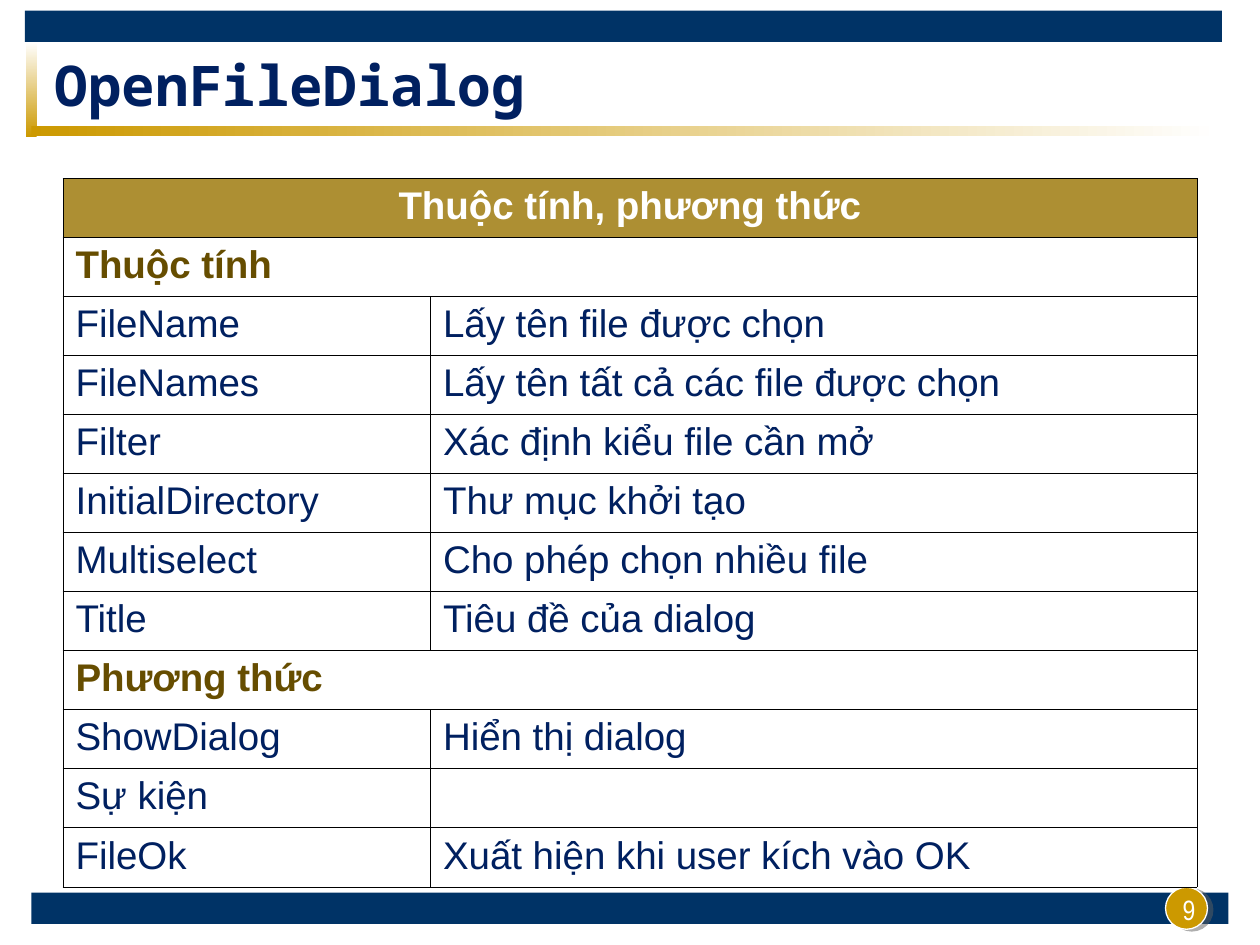
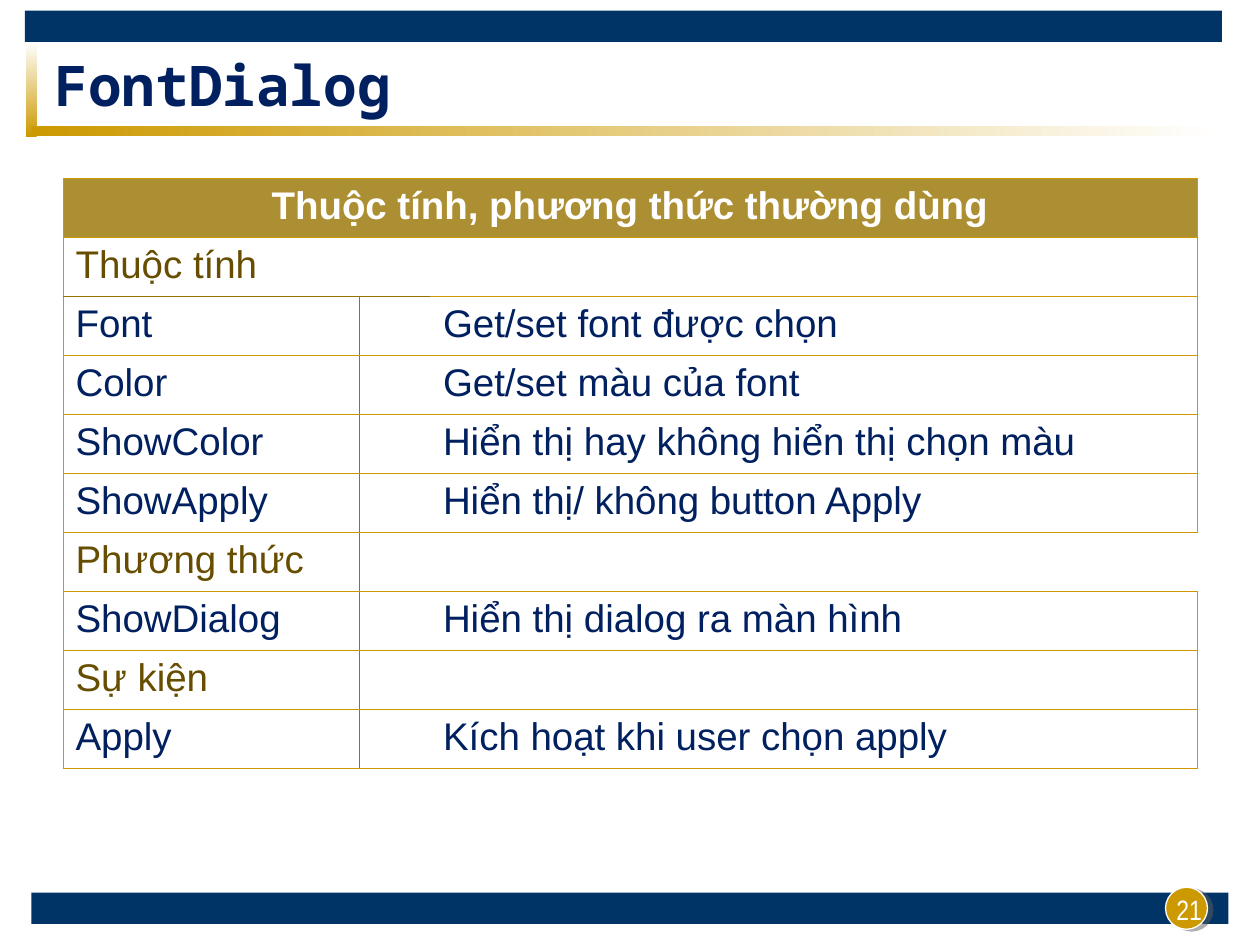
from dataclasses import dataclass
from typing import Optional

from lxml.etree import SubElement
from pptx import Presentation
from pptx.dml.color import RGBColor
from pptx.enum.shapes import MSO_SHAPE as Preset
from pptx.enum.text import MSO_ANCHOR as Anchor, MSO_AUTO_SIZE as AutoSize, PP_ALIGN as Align
from pptx.oxml.ns import qn
from pptx.util import Pt

EMU_PER_PX = 9525
SLIDE_SIZE = (960, 720)
TITLE_BOX = (32, 40, 928, 48)
NUMBER_BOX = (884, 672, 44, 38)
TABLE_LEFT, TABLE_TOP, ROW_HEIGHT = 48, 136, 45
BORDER_PT = 0.45
COLORS = {
    "band": "003366",
    "gold": "CC9900",
    "dark_gold": "997300",
    "brown": "664D00",
    "navy": "002060",
    "shadow": "5F5F5F",
    "white": "FFFFFF",
    "black": "000000",
}


@dataclass(frozen=True)
class Bar:
    box: tuple[int, int, int, int]
    colors: tuple[str, ...]
    angle: int = 0
    preset: Preset = Preset.RECTANGLE


@dataclass(frozen=True)
class Entry:
    name: str
    meaning: str = ""
    is_section: bool = False
    merge: Optional[tuple[int, int]] = None


@dataclass(frozen=True)
class Reference:
    title: str
    number: int
    heading: str
    columns: tuple[int, ...]
    entries: tuple[Entry, ...]
    border: str
    fill: Optional[str] = None
    bold_sections: bool = False
    indented: bool = False


BARS = (
    Bar((24, 680, 912, 24), ("band",)),
    Bar((19, 8, 912, 24), ("band",)),
    Bar((20, 32, 8, 72), ("white", "gold"), angle=270),
    Bar((24, 96, 904, 8), ("gold", "white")),
)
BADGE = Bar((888, 676, 32, 32), ("gold",), preset=Preset.OVAL)

REFERENCES = (
    Reference(
        "OpenFileDialog", 9, "Thuộc tính, phương thức", (280, 584),
        (
            Entry("Thuộc tính", is_section=True, merge=(0, 1)),
            Entry("FileName", "Lấy tên file được chọn"),
            Entry("FileNames", "Lấy tên tất cả các file được chọn"),
            Entry("Filter", "Xác định kiểu file cần mở"),
            Entry("InitialDirectory", "Thư mục khởi tạo"),
            Entry("Multiselect", "Cho phép chọn nhiều file"),
            Entry("Title", "Tiêu đề của dialog"),
            Entry("Phương thức", is_section=True, merge=(0, 1)),
            Entry("ShowDialog", "Hiển thị dialog"),
            Entry("Sự kiện"),
            Entry("FileOk", "Xuất hiện khi user kích vào OK"),
        ),
        border="black", bold_sections=True,
    ),
    Reference(
        "FontDialog", 21, "Thuộc tính, phương thức thường dùng", (226, 54, 584),
        (
            Entry("Thuộc tính", is_section=True, merge=(0, 2)),
            Entry("Font", "Get/set font được chọn"),
            Entry("Color", "Get/set màu của font"),
            Entry("ShowColor", "Hiển thị hay không hiển thị chọn màu"),
            Entry("ShowApply", "Hiển thị/ không button Apply"),
            Entry("Phương thức", is_section=True, merge=(1, 2)),
            Entry("ShowDialog", "Hiển thị dialog ra màn hình"),
            Entry("Sự kiện", is_section=True),
            Entry("Apply", "Kích hoạt khi user chọn apply"),
        ),
        border="gold", fill="white", indented=True,
    ),
)


def px(length: int) -> int:
    return length * EMU_PER_PX


def scaled(box: tuple[int, ...]) -> list[int]:
    return [px(length) for length in box]


def rgb(color: str) -> RGBColor:
    return RGBColor.from_string(COLORS[color])


def style(paragraph, size: float, color: str, font: str = "Arial",
          bold: bool = False, align: Align = Align.LEFT) -> None:
    paragraph.alignment = align
    paragraph.font.name = font
    paragraph.font.size = Pt(size)
    paragraph.font.bold = bold
    paragraph.font.color.rgb = rgb(color)


def add_color(parent, color: str, alpha: int):
    srgb = SubElement(parent, qn("a:srgbClr"), val=COLORS[color])
    SubElement(srgb, qn("a:alpha"), val=str(alpha * 1000))


def draw_bar(slide, bar: Bar):
    shape = slide.shapes.add_shape(bar.preset, *scaled(bar.box))
    shape.shadow.inherit = False
    shape.line.fill.background()
    if len(bar.colors) == 1:
        shape.fill.solid()
        shape.fill.fore_color.rgb = rgb(bar.colors[0])
    else:
        shape.fill.gradient()
        shape.fill.gradient_angle = bar.angle
        for stop, color in zip(shape.fill.gradient_stops, bar.colors):
            stop.color.rgb = rgb(color)
    return shape


def draw_badge(slide):
    badge = draw_bar(slide, BADGE)
    badge.line.color.rgb = rgb("white")
    badge.line.width = Pt(0.75)
    effects = badge.element.spPr.find(qn("a:effectLst"))
    shadow = SubElement(effects, qn("a:outerShdw"), blurRad="0", dist=str(Pt(3.2)),
                        dir=str(18 * 60000), algn="ctr", rotWithShape="0")
    add_color(shadow, "shadow", 50)
    return badge


def furnish_layout(layout, slide) -> None:
    furniture = [draw_bar(slide, bar) for bar in BARS] + [draw_badge(slide)]
    for shape in furniture:
        layout.element.cSld.spTree.append(shape.element)


def add_title(slide, text: str) -> None:
    title = slide.shapes.title
    title.left, title.top, title.width, title.height = scaled(TITLE_BOX)
    frame = title.text_frame
    frame.text = text
    frame.auto_size = AutoSize.NONE
    frame.vertical_anchor = Anchor.MIDDLE
    style(frame.paragraphs[0], 32, "navy", "Noto Sans Mono", bold=True)


def add_number(slide, number: int) -> None:
    frame = slide.shapes.add_textbox(*scaled(NUMBER_BOX)).text_frame
    frame.word_wrap = True
    frame.vertical_anchor = Anchor.BOTTOM
    frame.text = str(number)
    style(frame.paragraphs[0], 16, "white", "Arial Narrow", align=Align.CENTER)


def border_colors(reference: Reference, row: int, column: int) -> dict[str, Optional[str]]:
    sides: dict[str, Optional[str]] = dict.fromkeys("LRTB", reference.border)
    if reference.indented and row > 1:
        if column == 0:
            sides["R"] = "dark_gold"
        elif column == 1:
            sides.update(L="dark_gold", R=None)
        else:
            sides["L"] = None
        if row == 2 and column < 2:
            sides["T"] = "dark_gold"
    return sides


def set_borders(cell, sides: dict[str, Optional[str]]) -> None:
    properties = cell._tc.get_or_add_tcPr()
    for side, color in sides.items():
        line = SubElement(properties, qn(f"a:ln{side}"), w=str(Pt(BORDER_PT)))
        if color:
            solid = SubElement(line, qn("a:solidFill"))
            SubElement(solid, qn("a:srgbClr"), val=COLORS[color])
        else:
            SubElement(line, qn("a:noFill"))


def set_fill(cell, color: Optional[str], alpha: int = 100) -> None:
    if color is None:
        cell.fill.background()
    else:
        solid = SubElement(cell._tc.get_or_add_tcPr(), qn("a:solidFill"))
        add_color(solid, color, alpha)


def write(cell, text: str, color: str, bold: bool = False, align: Align = Align.LEFT) -> None:
    cell.text = text
    paragraph = cell.text_frame.paragraphs[0]
    paragraph.space_before = Pt(5.5)
    style(paragraph, 22, color, bold=bold, align=align)


def add_reference_table(slide, reference: Reference) -> None:
    row_count, last = len(reference.entries) + 1, len(reference.columns) - 1
    box = (TABLE_LEFT, TABLE_TOP, sum(reference.columns), ROW_HEIGHT * row_count)
    table = slide.shapes.add_table(row_count, last + 1, *scaled(box)).table
    table.first_row = table.horz_banding = False
    for column, width in zip(table.columns, reference.columns):
        column.width = px(width)
    for row in range(row_count):
        table.rows[row].height = px(ROW_HEIGHT)
        for column in range(last + 1):
            cell = table.cell(row, column)
            set_borders(cell, border_colors(reference, row, column))
            if row == 0:
                set_fill(cell, "dark_gold", 80)
            else:
                set_fill(cell, reference.fill)

    table.cell(0, 0).merge(table.cell(0, last))
    write(table.cell(0, 0), reference.heading, "white", True, Align.CENTER)
    for row, entry in enumerate(reference.entries, 1):
        if entry.merge:
            first, final = entry.merge
            table.cell(row, first).merge(table.cell(row, final))
        color = "brown" if entry.is_section else "navy"
        write(table.cell(row, 0), entry.name, color, entry.is_section and reference.bold_sections)
        if entry.meaning:
            write(table.cell(row, last), entry.meaning, "navy")


def main() -> None:
    deck = Presentation()
    deck.slide_width, deck.slide_height = scaled(SLIDE_SIZE)
    layout = deck.slide_layouts[5]
    for index, reference in enumerate(REFERENCES):
        slide = deck.slides.add_slide(layout)
        if index == 0:
            furnish_layout(layout, slide)
        add_number(slide, reference.number)
        add_title(slide, reference.title)
        add_reference_table(slide, reference)
    deck.save("out.pptx")


if __name__ == "__main__":
    main()
